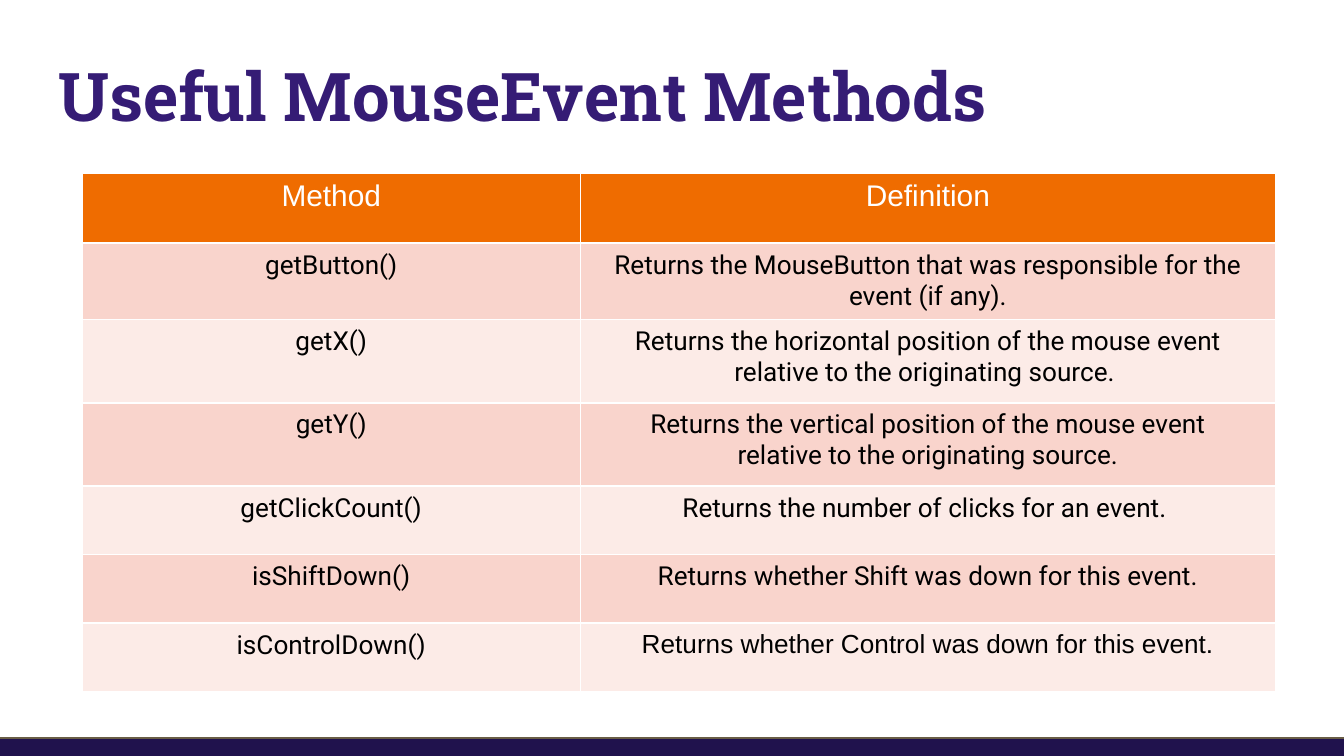
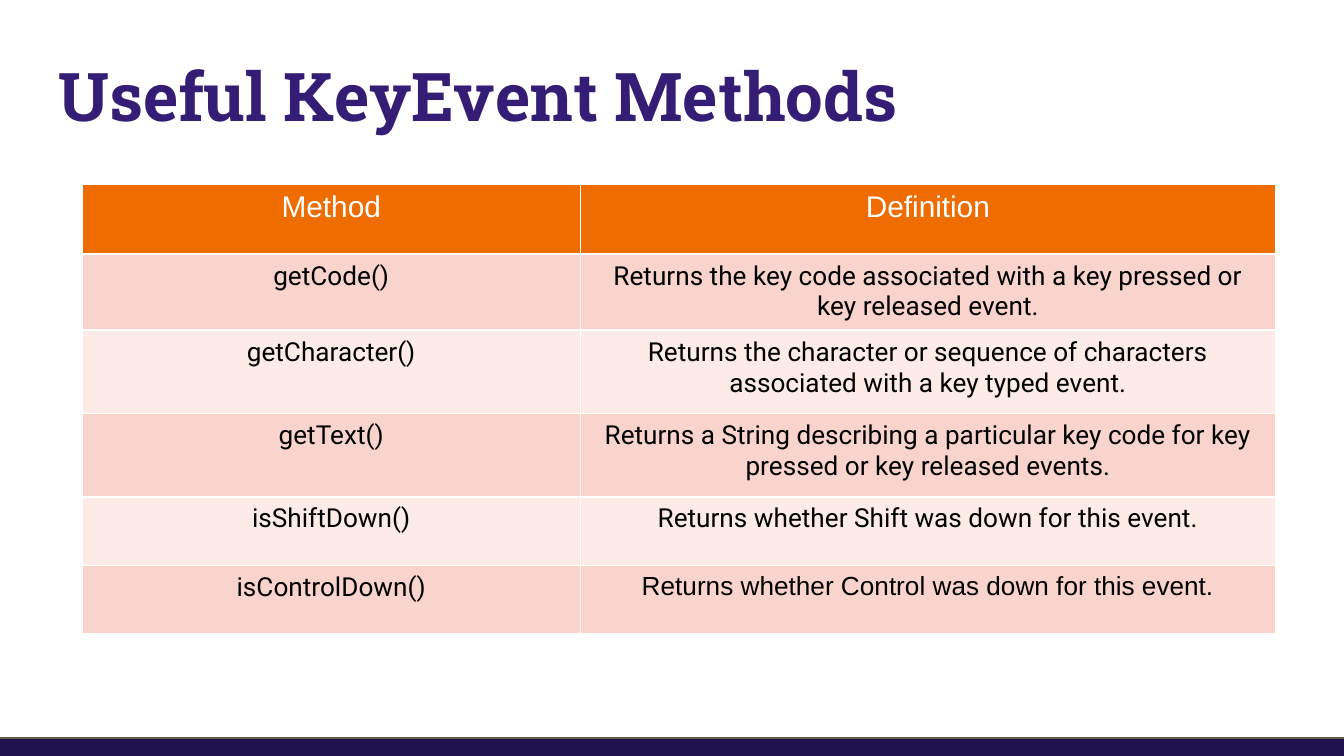
from lxml.etree import SubElement
from pptx import Presentation
from pptx.dml.color import RGBColor
from pptx.enum.shapes import MSO_SHAPE
from pptx.enum.text import MSO_ANCHOR, PP_ALIGN
from pptx.oxml.ns import qn
from pptx.util import Inches, Pt

PURPLE, NAVY, OLIVE = "351C75", "20124D", "695D46"
ORANGE, PINK, PALE = "EF6C00", "F9D4CC", "FCEBE7"
WHITE, BLACK = "FFFFFF", "000000"
COLUMNS = [3.71, 5.17]
NBSP = chr(160)

SHARED_ROWS = [
    (0.51, "isShiftDown()", "Returns whether Shift was down for this event."),
    (0.51, "isControlDown()", "Returns whether Control was down for this event."),
]
SLIDES = [
    ("Useful MouseEvent Methods", 1.29, [
        (0.51, "getButton()", "Returns the MouseButton that was responsible for the event (if any)."),
        (0.62, "getX()", f"Returns the horizontal position of the mouse event relative to the originating source.{NBSP}"),
        (0.62, "getY()", f"Returns the vertical position of the mouse event relative{NBSP}to the{NBSP}originating source."),
        (0.51, "getClickCount()", f"Returns the number of clicks for an event.{NBSP}"),
    ]),
    ("Useful KeyEvent Methods", 1.37, [
        (0.51, "getCode()", "Returns the key code associated with a key pressed or key released event."),
        (0.62, "getCharacter()", "Returns the character or sequence of characters associated with a key typed event."),
        (0.62, "getText()", "Returns a String describing a particular key code for key pressed or key released events."),
    ]),
]


def rgb(color):
    return RGBColor.from_string(color)


def set_borders(cell):
    tcPr = cell._tc.get_or_add_tcPr()
    for side in "LRTB":
        ln = SubElement(tcPr, qn(f"a:ln{side}"), w=str(Pt(1)))
        fill = SubElement(ln, qn("a:solidFill"))
        SubElement(fill, qn("a:srgbClr"), val=WHITE)


prs = Presentation()
prs.slide_width = Inches(10)
prs.slide_height = Inches(10 * 9 / 16)

for title, top, methods in SLIDES:
    s = prs.slides.add_slide(prs.slide_layouts[6])
    s.background.fill.solid()
    s.background.fill.fore_color.rgb = rgb(WHITE)

    tf = s.shapes.add_textbox(Inches(0.34), Inches(0.32), Inches(9.32), Inches(0.77)).text_frame
    tf.word_wrap = True
    tf.vertical_anchor = MSO_ANCHOR.MIDDLE
    tf.margin_left = tf.margin_right = tf.margin_top = tf.margin_bottom = Inches(0.1)
    p = tf.paragraphs[0]
    p.text = title
    p.font.name, p.font.size, p.font.bold = "Roboto Slab", Pt(36), True
    p.font.color.rgb = rgb(PURPLE)

    sp = s.shapes.add_shape(MSO_SHAPE.RECTANGLE, Inches(-0.1), Inches(5.49), Inches(10.12), Inches(0.22))
    sp.shadow.inherit = False
    sp.fill.solid()
    sp.fill.fore_color.rgb = rgb(NAVY)
    sp.line.color.rgb = rgb(OLIVE)
    sp.line.width = Pt(0.75)

    rows = [(0.52, "Method", "Definition")] + methods + SHARED_ROWS
    table = s.shapes.add_table(len(rows), len(COLUMNS), Inches(0.61), Inches(top),
                               Inches(sum(COLUMNS)), Inches(sum(row[0] for row in rows))).table
    table.first_row = table.horz_banding = False
    for column, width in zip(table.columns, COLUMNS):
        column.width = Inches(width)

    for i, (height, *texts) in enumerate(rows):
        table.rows[i].height = Inches(height)
        header = i == 0
        for j, text in enumerate(texts):
            cell = table.cell(i, j)
            set_borders(cell)
            cell.fill.solid()
            cell.fill.fore_color.rgb = rgb(ORANGE if header else PINK if i % 2 else PALE)
            p = cell.text_frame.paragraphs[0]
            p.text = text
            p.alignment = PP_ALIGN.CENTER
            p.font.name = "Arial" if header or "Control was" in text else "Roboto"
            p.font.size = Pt(16 if header else 14)
            p.font.color.rgb = rgb(WHITE if header else BLACK)

prs.save("out.pptx")
